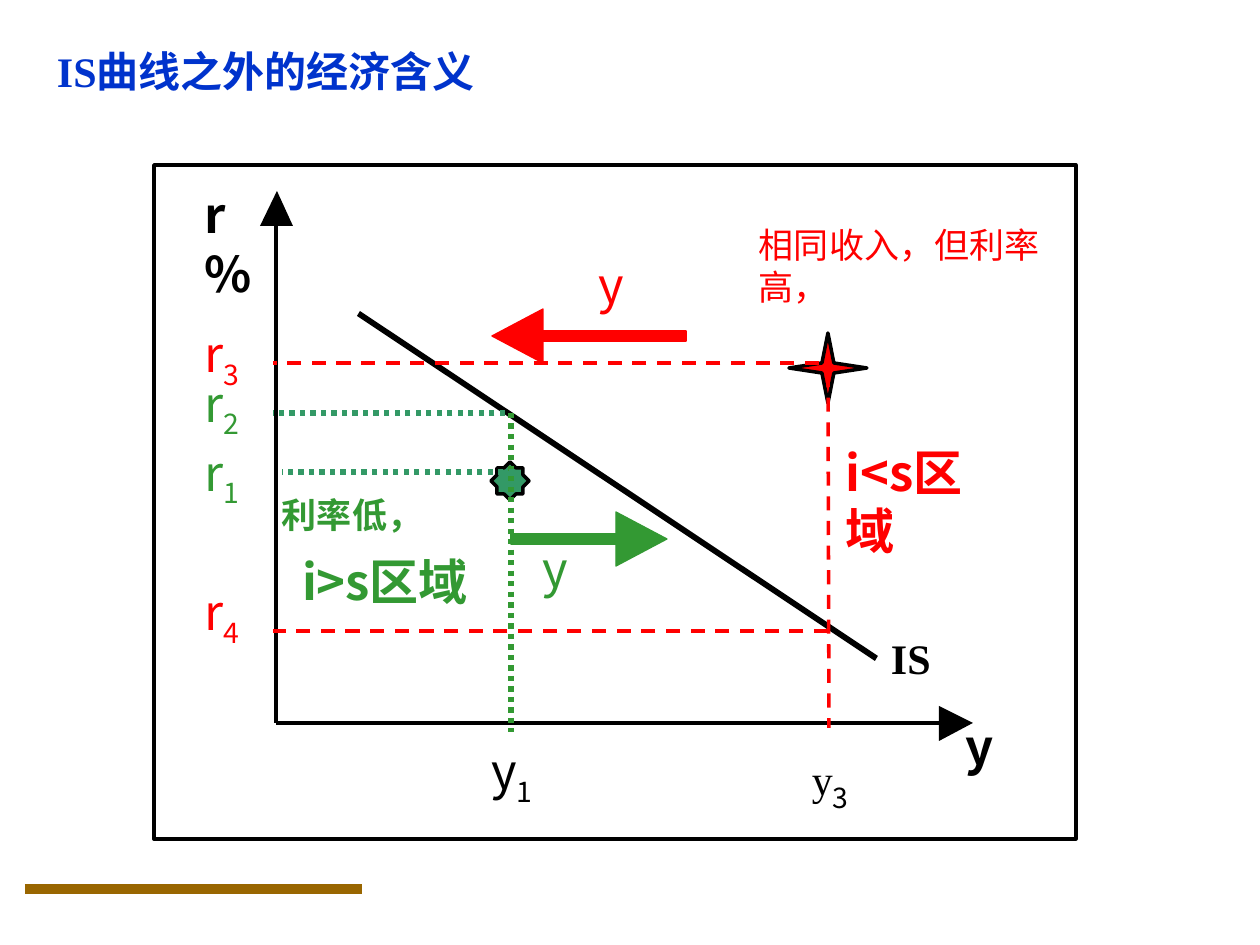
from math import cos, pi, sin

from lxml.etree import SubElement
from pptx import Presentation
from pptx.dml.color import RGBColor
from pptx.enum.dml import MSO_LINE
from pptx.enum.shapes import MSO_CONNECTOR, MSO_SHAPE
from pptx.enum.text import MSO_ANCHOR
from pptx.oxml.ns import qn
from pptx.util import Emu, Pt

PX = 914400 // 126
SANS, SERIF = "Noto Sans CJK SC", "Times New Roman"
BLACK, WHITE, RED, GREEN = "000000", "FFFFFF", "FF0000", "339933"
TEAL, BLUE, BROWN = "339966", "0033CC", "996600"


def star(center_x, center_y, radius_x, radius_y, inner, points):
    """Corners of a star, alternating outer and inner radius."""
    corners = []
    for step in range(2 * points):
        ratio = inner if step % 2 else 1
        angle = pi * step / points
        corners.append((round(center_x + radius_x * ratio * cos(angle), 2),
                        round(center_y + radius_y * ratio * sin(angle), 2)))
    return corners


# Rectangles: box, fill, line colour, line width
FRAME = ((154, 165, 922, 674), WHITE, BLACK, 2)
ARROW_SHAFTS = [
    ((541, 331, 145, 10), RED, RED, 0.75),
    ((511, 534, 107, 10), GREEN, GREEN, 0.75),
]

# Outlines: corners, fill, line colour, line width
AXIS_HEADS = [
    ([(939, 741), (973, 723), (939, 706)], BLACK, None, 0),
    ([(293, 226), (277, 191), (260, 226)], BLACK, None, 0),
]
IS_CURVE = ([(360, 311), (357, 316), (875, 661), (878, 656)], BLACK, None, 0)
MARKERS = [
    (star(828, 368, 39, 35, 0.22, 4), RED, BLACK, 2),
    (star(510, 481, 19, 19, 0.76, 8), TEAL, BLACK, 2),
]
ARROW_HEADS = [
    ([(543, 309), (492, 336), (543, 363)], RED, RED, 0.75),
    ([(616, 566), (667, 539), (616, 512)], GREEN, GREEN, 0.75),
]

# Lines: from x, from y, to x, to y, colour, width, dash
AXES = [
    (276, 723, 941, 723, BLACK, 2, None),
    (276, 723, 276, 223, BLACK, 2, None),
]
GUIDES = [
    (828, 373, 829, 728, RED, 2, MSO_LINE.DASH),
    (819, 363, 273, 363, RED, 2, MSO_LINE.DASH),
    (828, 631, 273, 631, RED, 2, MSO_LINE.DASH),
    (511, 413, 511, 732, GREEN, 3, MSO_LINE.ROUND_DOT),
    (514, 472, 282, 472, TEAL, 3, MSO_LINE.ROUND_DOT),
    (505, 413, 273, 413, TEAL, 3, MSO_LINE.ROUND_DOT),
]
FOOTER_RULE = (25, 889, 362, 889, BROWN, 6, None)

# Labels: text, subscript, box, size, colour, bold
LABELS = [
    ("y", "", (966, 717, 34, 59), 28, BLACK, True),
    ("r%", "", (205, 185, 52, 118), 28, BLACK, True),
    ("y", "1", (491, 741, 79, 67), 28, BLACK, False),
    ("相同收入，但利率高，", "", (759, 224, 281, 84), 20, RED, False),
    ("i<s区域", "", (846, 442, 160, 118), 28, RED, True),
    ("利率低，", "", (282, 493, 150, 42), 20, GREEN, True),
    ("i>s区域", "", (302, 552, 185, 59), 28, GREEN, True),
    ("y", "", (599, 255, 34, 59), 28, RED, False),
    ("y", "", (543, 539, 34, 59), 28, GREEN, False),
]
RATES = [("3", 324, RED), ("2", 373, GREEN), ("1", 442, GREEN), ("4", 582, RED)]
LABELS += [("r", number, (205, top, 45, 67), 28, color, False)
           for number, top, color in RATES]


def rgb(color):
    return RGBColor.from_string(color)


def px(*values):
    return [Emu(value * PX) for value in values]


def paint(shape, fill, line_color, width):
    shape.shadow.inherit = False
    shape.fill.solid()
    shape.fill.fore_color.rgb = rgb(fill)
    if line_color:
        shape.line.color.rgb = rgb(line_color)
        shape.line.width = Pt(width)
    else:
        shape.line.fill.background()


def add_rectangle(shapes, box, *style):
    paint(shapes.add_shape(MSO_SHAPE.RECTANGLE, *px(*box)), *style)


def add_outline(shapes, corners, *style):
    builder = shapes.build_freeform(*corners[0], scale=PX)
    builder.add_line_segments(corners[1:], close=True)
    paint(builder.convert_to_shape(), *style)


def add_line(shapes, x1, y1, x2, y2, color, width, dash):
    line = shapes.add_connector(MSO_CONNECTOR.STRAIGHT, *px(x1, y1, x2, y2))
    line.line.color.rgb = rgb(color)
    line.line.width = Pt(width)
    if dash:
        line.line.dash_style = dash
    SubElement(line._element.spPr, qn("a:effectLst"))


def add_run(paragraph, text, size, font, subscript=False):
    run = paragraph.add_run()
    run.text = text
    run.font.size = Pt(size)
    run.font.name = font
    properties = run.font._element
    SubElement(properties, qn("a:ea")).set("typeface", SANS)
    if subscript:
        properties.set("baseline", "-25000")


def add_label(shapes, text, subscript, box, size, color, bold,
              font=SANS, subscript_size=28, margins=(0, 0), anchor=MSO_ANCHOR.TOP):
    frame = shapes.add_textbox(*px(*box)).text_frame
    frame.word_wrap = True
    frame.vertical_anchor = anchor
    frame.margin_left = frame.margin_right = Emu(margins[0] * PX)
    frame.margin_top = frame.margin_bottom = Emu(margins[1] * PX)
    paragraph = frame.paragraphs[0]
    add_run(paragraph, text, size, font)
    if subscript:
        add_run(paragraph, subscript, subscript_size, SANS, subscript=True)
    paragraph.font.bold = bold
    for run in paragraph.runs:
        run.font.bold = bold
        run.font.color.rgb = rgb(color)


def main():
    presentation = Presentation()
    presentation.slide_width, presentation.slide_height = px(1260, 945)
    slide = presentation.slides.add_slide(presentation.slide_layouts[6])
    shapes = slide.shapes

    # Frame, axes and curve
    add_rectangle(shapes, *FRAME)
    for axis in AXES:
        add_line(shapes, *axis)
    for outline in AXIS_HEADS + [IS_CURVE] + MARKERS:
        add_outline(shapes, *outline)

    # Guides and income arrows
    for guide in GUIDES:
        add_line(shapes, *guide)
    for shaft in ARROW_SHAFTS:
        add_rectangle(shapes, *shaft)
    for head in ARROW_HEADS:
        add_outline(shapes, *head)

    # Labels, then the title and the serif labels
    for label in LABELS:
        add_label(shapes, *label)
    serif = {"font": SERIF, "margins": (13, 6)}
    add_label(shapes, "IS曲线之外的经济含义", "", (44, 26, 804, 90), 24, BLUE, True,
              anchor=MSO_ANCHOR.MIDDLE, **serif)
    add_label(shapes, "y", "3", (799, 741, 75, 79), 24, BLACK, False, **serif)
    add_label(shapes, "IS", "", (878, 627, 100, 63), 24, BLACK, True, **serif)

    add_line(shapes, *FOOTER_RULE)
    presentation.save("out.pptx")


if __name__ == "__main__":
    main()
